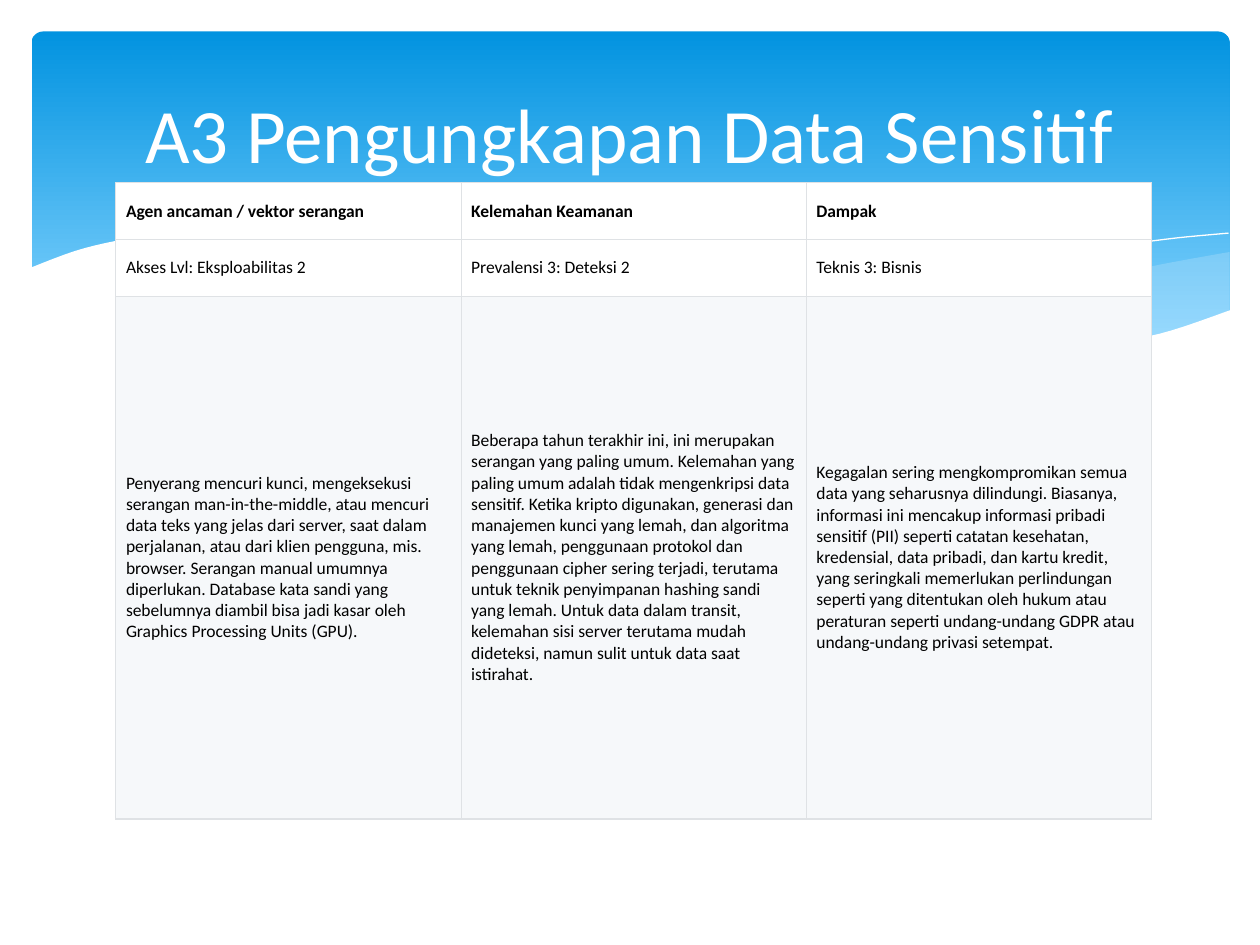
import pptx
import pptx.dml.color
import pptx.enum.shapes
import pptx.enum.text
import pptx.oxml
import pptx.oxml.ns
import pptx.util

WIDTH, HEIGHT = 10, 7.5
FONT = "Calibri"
WHITE, BLACK, PALE_BLUE = "FFFFFF", "000000", "C6E7FC"
PALE_GREY, BORDER_GREY = "F6F8FA", "DFE2E5"
CURVE_STEPS = 6

TITLE = "A3 Pengungkapan Data Sensitif"
HEADINGS = ("Agen ancaman / vektor serangan", "Kelemahan Keamanan", "Dampak")
RATINGS = ("Akses Lvl: Eksploabilitas 2", "Prevalensi 3: Deteksi 2", "Teknis 3: Bisnis")
DETAILS = (
    "Penyerang mencuri kunci, mengeksekusi serangan man-in-the-middle, atau mencuri "
    "data teks yang jelas dari server, saat dalam perjalanan, atau dari klien pengguna, "
    "mis. browser. Serangan manual umumnya diperlukan. Database kata sandi yang "
    "sebelumnya diambil bisa jadi kasar oleh Graphics Processing Units (GPU).",
    "Beberapa tahun terakhir ini, ini merupakan serangan yang paling umum. Kelemahan "
    "yang paling umum adalah tidak mengenkripsi data sensitif. Ketika kripto digunakan, "
    "generasi dan manajemen kunci yang lemah, dan algoritma yang lemah, penggunaan "
    "protokol dan penggunaan cipher sering terjadi, terutama untuk teknik penyimpanan "
    "hashing sandi yang lemah. Untuk data dalam transit, kelemahan sisi server terutama "
    "mudah dideteksi, namun sulit untuk data saat istirahat.",
    "Kegagalan sering mengkompromikan semua data yang seharusnya dilindungi. Biasanya, "
    "informasi ini mencakup informasi pribadi sensitif (PII) seperti catatan kesehatan, "
    "kredensial, data pribadi, dan kartu kredit, yang seringkali memerlukan perlindungan "
    "seperti yang ditentukan oleh hukum atau peraturan seperti undang-undang GDPR atau "
    "undang-undang privasi setempat.",
)
RISK_ROWS = [
    {"texts": HEADINGS, "height": 0.45, "fill": WHITE, "bold": True},
    {"texts": RATINGS, "height": 0.45, "fill": WHITE, "bold": False},
    {"texts": DETAILS, "height": 4.15, "fill": PALE_GREY, "bold": False},
]
COLUMN_WIDTH = 2.74

BANNER_STOPS = ((0, "0293E0"), (0.9, "83D3FE"))

RIGHT_TOP = [(9.76, 2), (9.21, 2.1), (8.61, 2.23), (8.05, 2.37), (7.29, 2.53), (6.61, 2.65)]
RIGHT_BOTTOM = [(6.61, 2.65), (7.19, 2.72), (7.69, 2.77), (8.24, 2.77), (8.81, 2.73),
                (9.35, 2.62), (9.76, 2.47)]
MIDDLE_TOP = [(8.93, 2.73), (8.07, 2.6), (7.06, 2.4), (6.29, 2.22), (5.55, 2.05),
              (4.89, 1.94), (4.2, 1.87), (3.61, 1.85), (2.86, 1.91)]
MIDDLE_BOTTOM = [(2.86, 1.91), (3.62, 2.03), (4.49, 2.22), (5.3, 2.4), (6.01, 2.55),
                 (6.8, 2.68), (7.48, 2.76), (8.18, 2.78), (8.93, 2.73)]
LEFT_CREST = [(3.09, 1.95), (3.53, 1.89), (4.16, 1.87), (4.89, 1.9), (5.56, 1.97),
              (6.36, 2.08), (7.27, 2.26), (8.31, 2.51), (9.07, 2.72)]
RIGHT_CREST = [(6.13, 2.57), (6.95, 2.35), (7.76, 2.16), (8.66, 1.99), (9.24, 1.9),
               (9.75, 1.85)]
FRONT_TOP = [(9.77, 2.46), (9.2, 2.65), (8.63, 2.74), (8.09, 2.77), (7.44, 2.74),
             (6.68, 2.65), (6.03, 2.54), (5.29, 2.39), (4.47, 2.2), (3.65, 2.02),
             (2.92, 1.9), (2.3, 1.85), (1.77, 1.84), (1.19, 1.87), (0.67, 1.97),
             (0.23, 2.13)]
FRONT_BASE = [(0.23, 3.29), (9.77, 3.29)]

FILLED_WAVES = [
    {"edges": (RIGHT_TOP, RIGHT_BOTTOM), "color": PALE_BLUE, "opacity": 29},
    {"edges": (MIDDLE_TOP, MIDDLE_BOTTOM), "color": PALE_BLUE, "opacity": 40},
]
CRESTS = [LEFT_CREST, RIGHT_CREST]
FRONT_WAVE = {"edges": (FRONT_TOP, FRONT_BASE), "color": WHITE, "opacity": 100}


def rgb(value):
    return pptx.dml.color.RGBColor.from_string(value)


def inches(*values):
    return [pptx.util.Inches(value) for value in values]


def xml(tag, attributes, content=""):
    return pptx.oxml.parse_xml(
        f'<a:{tag} {pptx.oxml.ns.nsdecls("a")} {attributes}>{content}</a:{tag}>')


def paint(fill, color):
    fill.solid()
    fill.fore_color.rgb = rgb(color)


def style_font(font, size, color, bold=False):
    font.name, font.size, font.bold = FONT, pptx.util.Pt(size), bold
    font.color.rgb = rgb(color)


def catmull_rom(before, start, end, after, t):
    return (2 * start + (end - before) * t
            + (2 * before - 5 * start + 4 * end - after) * t ** 2
            + (3 * start - before - 3 * end + after) * t ** 3) / 2


def smooth(anchors):
    padded = [anchors[0], *anchors, anchors[-1]]
    curve = [anchors[0]]
    for neighbours in zip(padded, padded[1:], padded[2:], padded[3:]):
        xs, ys = zip(*neighbours)
        for step in range(1, CURVE_STEPS + 1):
            t = step / CURVE_STEPS
            curve.append((catmull_rom(*xs, t), catmull_rom(*ys, t)))
    return curve


def add_curve(slide, edges, close):
    points = [inches(*point) for edge in edges for point in smooth(edge)]
    builder = slide.shapes.build_freeform(*points[0], scale=1)
    builder.add_line_segments(points[1:], close=close)
    curve = builder.convert_to_shape()
    curve.shadow.inherit = False
    return curve


def add_wave(slide, edges, color, opacity):
    wave = add_curve(slide, edges, close=True)
    wave.line.fill.background()
    paint(wave.fill, color)
    if opacity < 100:
        wave_color = wave._element.spPr.find(".//" + pptx.oxml.ns.qn("a:srgbClr"))
        wave_color.append(xml("alpha", f'val="{opacity * 1000}"'))


def add_crest(slide, anchors):
    crest = add_curve(slide, [anchors], close=False)
    crest.fill.background()
    crest.line.color.rgb = rgb(WHITE)
    crest.line.width = 0


def add_banner(slide):
    banner = slide.shapes.add_shape(
        pptx.enum.shapes.MSO_SHAPE.ROUNDED_RECTANGLE,
        *inches(0.25, 0.25, WIDTH - 0.49, HEIGHT * 0.36))
    banner.adjustments[0] = 0.034
    banner.shadow.inherit = False
    banner.line.fill.background()
    banner.fill.gradient()
    banner.fill.gradient_angle = 270
    for stop, (position, color) in zip(banner.fill.gradient_stops, BANNER_STOPS):
        stop.position = position
        stop.color.rgb = rgb(color)


def add_borders(cell):
    line = f'<a:solidFill><a:srgbClr val="{BORDER_GREY}"/></a:solidFill>'
    for index, side in enumerate("LRTB"):
        border = xml(f"ln{side}", f'w="{pptx.util.Pt(0.75)}"', line)
        cell._tc.get_or_add_tcPr().insert(index, border)


def fill_cell(cell, text, fill, bold):
    cell.text = text
    cell.vertical_anchor = pptx.enum.text.MSO_ANCHOR.MIDDLE
    cell.margin_left = cell.margin_right = pptx.util.Inches(0.08)
    cell.margin_top = cell.margin_bottom = pptx.util.Inches(0.04)
    paint(cell.fill, fill)
    add_borders(cell)
    style_font(cell.text_frame.paragraphs[0].font, 10, BLACK, bold)


def add_risk_table(slide):
    columns = len(HEADINGS)
    table_height = sum(row["height"] for row in RISK_ROWS)
    risks = slide.shapes.add_table(
        len(RISK_ROWS), columns,
        *inches(0.92, 1.45, COLUMN_WIDTH * columns, table_height)).table
    risks.first_row = risks.horz_banding = False
    for column in risks.columns:
        column.width = pptx.util.Inches(COLUMN_WIDTH)
    for table_row, row in zip(risks.rows, RISK_ROWS):
        table_row.height = pptx.util.Inches(row["height"])
        for cell, text in zip(table_row.cells, row["texts"]):
            fill_cell(cell, text, row["fill"], row["bold"])


def place_title(slide):
    title = slide.shapes.title
    title.left, title.top, title.width, title.height = inches(
        WIDTH * 0.05, 0.37, WIDTH * 0.9, 1.37)
    title.text = TITLE
    title.text_frame.vertical_anchor = pptx.enum.text.MSO_ANCHOR.MIDDLE
    heading = title.text_frame.paragraphs[0]
    heading.alignment = pptx.enum.text.PP_ALIGN.CENTER
    style_font(heading.font, 44, WHITE)
    slide.shapes._spTree.append(title._element)


def main():
    deck = pptx.Presentation()
    deck.slide_width, deck.slide_height = inches(WIDTH, HEIGHT)
    slide = deck.slides.add_slide(deck.slide_layouts[5])
    add_banner(slide)
    for wave in FILLED_WAVES:
        add_wave(slide, **wave)
    for crest in CRESTS:
        add_crest(slide, crest)
    add_wave(slide, **FRONT_WAVE)
    add_risk_table(slide)
    place_title(slide)
    deck.save("out.pptx")


if __name__ == "__main__":
    main()
